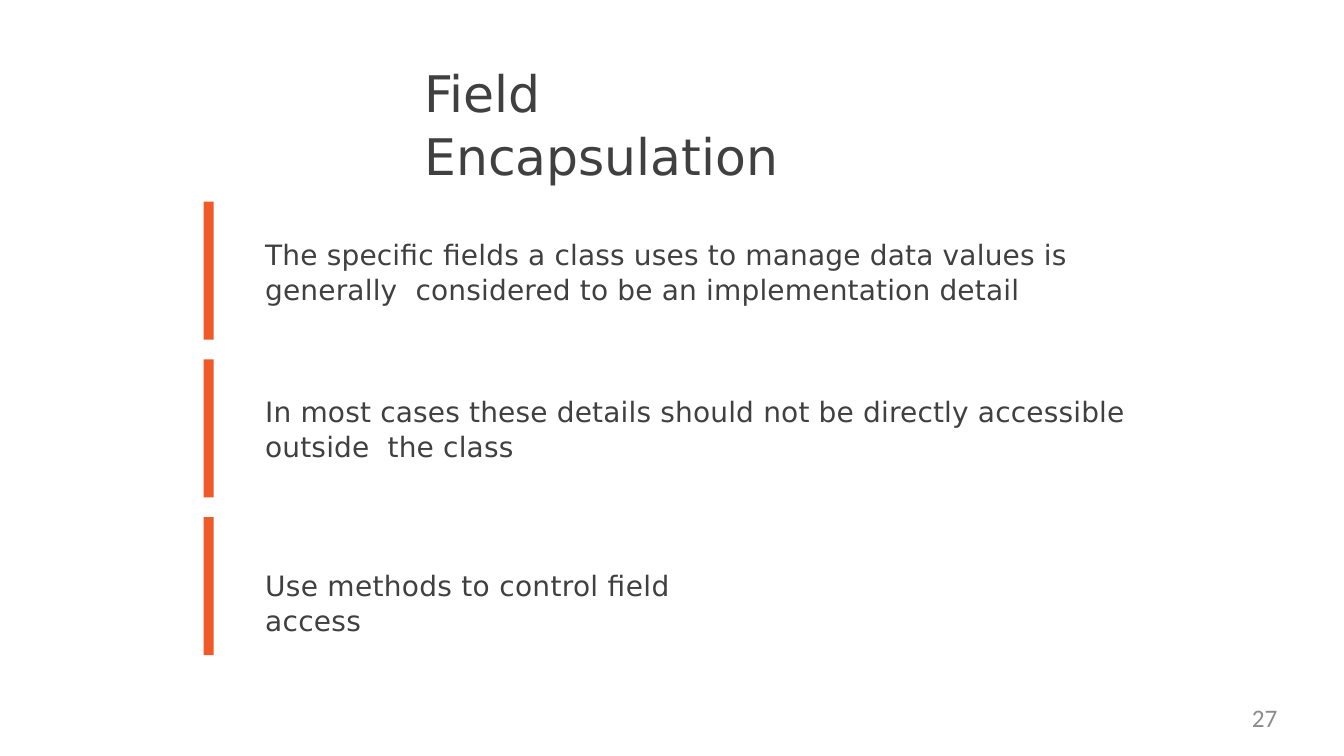
from dataclasses import dataclass

from pptx import Presentation
from pptx import util as u
from pptx.dml.color import RGBColor
from pptx.enum import shapes, text


@dataclass
class Label:
    words: str
    left: float
    top: float
    width: float
    height: float
    size: int = 20
    font: str = "DejaVu Sans"
    color: str = "404040"
    align: text.PP_ALIGN = text.PP_ALIGN.LEFT
    inset: float = 0.02
    pitch: float = 1.04
    track: int = 10  # letter spacing in hundredths of a point


BAR_TOP, BAR_STEP = 2, 1.565
LABELS = [
    Label("Field Encapsulation", 4.21, 0.57, 4.7, 1.25, size=36, track=0),
    Label("The specific fields a class uses to manage data values is "
          "generally  considered to be an implementation detail",
          2.63, 2.32, 9.16, 0.69),
    Label("In most cases these details should not be directly accessible "
          "outside  the class", 2.63, 3.88, 9.3, 0.69),
    Label("Use methods to control field access", 2.63, 5.61, 4.9, 0.69, track=20),
    Label("27", 9.6, 6.97, 3.07, 0.38, size=18, font="Calibri", color="8C8C8C",
          align=text.PP_ALIGN.RIGHT, inset=0, pitch=1, track=0),
]


def tint(code: str) -> RGBColor:
    return RGBColor.from_string(code)


def assign(target, values: dict) -> None:
    for name, value in values.items():
        setattr(target, name, value)


def add_bar(slide, top: float) -> None:
    bar = slide.shapes.add_shape(
        shapes.MSO_SHAPE.RECTANGLE,
        u.Inches(2.02), u.Inches(top), u.Inches(0.1), u.Inches(1.37))
    bar.shadow.inherit = False
    bar.fill.solid()
    bar.fill.fore_color.rgb = tint("F05A28")
    bar.line.fill.background()


def add_label(slide, label: Label) -> None:
    box = slide.shapes.add_textbox(
        *map(u.Inches, (label.left, label.top, label.width, label.height)))
    frame = box.text_frame
    assign(frame, {
        "word_wrap": True, "margin_left": 0, "margin_right": 0,
        "margin_bottom": 0, "margin_top": u.Inches(label.inset),
        "vertical_anchor": text.MSO_ANCHOR.TOP,
    })
    para = frame.paragraphs[0]
    assign(para, {"alignment": label.align, "line_spacing": label.pitch})
    run = para.add_run()
    run.text = label.words
    assign(run.font, {"name": label.font, "size": u.Pt(label.size)})
    run.font.color.rgb = tint(label.color)
    run.font._element.set("spc", str(label.track))


def main() -> None:
    deck = Presentation()
    assign(deck, {"slide_width": u.Inches(13.33), "slide_height": u.Inches(7.5)})
    slide = deck.slides.add_slide(deck.slide_layouts[6])
    for row in range(3):
        add_bar(slide, BAR_TOP + row * BAR_STEP)
    for label in LABELS:
        add_label(slide, label)
    deck.save("out.pptx")


if __name__ == "__main__":
    main()
